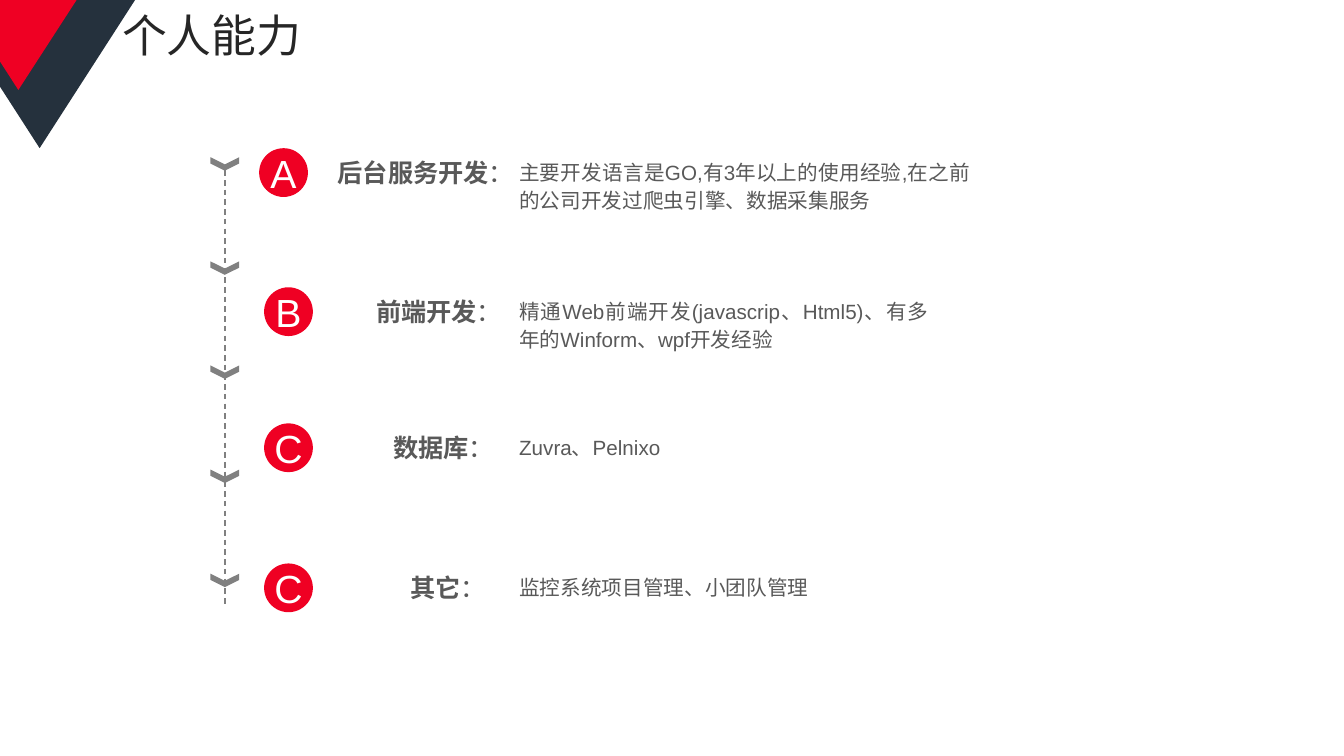
from dataclasses import dataclass

from lxml.etree import SubElement
from pptx import Presentation
from pptx.dml.color import RGBColor
from pptx.enum.dml import MSO_LINE_DASH_STYLE as Dash
from pptx.enum.shapes import MSO_CONNECTOR as Connector
from pptx.enum.shapes import MSO_SHAPE as Shape
from pptx.enum.text import MSO_ANCHOR as Anchor
from pptx.enum.text import MSO_AUTO_SIZE as AutoSize
from pptx.enum.text import PP_ALIGN as Align
from pptx.oxml.ns import qn
from pptx.util import Inches, Pt

SLIDE_WIDTH = Inches(13.33)
SLIDE_HEIGHT = Inches(7.5)


@dataclass(frozen=True)
class Theme:
    font: str = "Arial"
    red: str = "EF0023"
    navy: str = "25313D"
    grey: str = "808080"
    title: str = "262626"
    text: str = "595959"
    white: str = "FFFFFF"
    title_size: float = 32
    badge_size: float = 28
    label_size: float = 18
    body_size: float = 14.7
    body_leading: float = 20


THEME = Theme()


@dataclass(frozen=True)
class Skill:
    letter: str
    label: str
    detail: str
    top: float
    lines: int
    badge_left: float = 19.65
    label_left: float = 24.68
    detail_width: float = 30.45


SKILLS = [
    Skill("A", "后台服务开发",
          "主要开发语言是GO,有3年以上的使用经验,在之前的公司开发过爬虫引擎、数据采集服务",
          19.6, 6, badge_left=19.28, label_left=24.38, detail_width=33.53),
    Skill("B", "前端开发",
          "精通Web前端开发(javascrip、Html5)、有多年的Winform、wpf开发经验", 38, 5),
    Skill("C", "数据库", "Zuvra、Pelnixo", 56, 3),
    Skill("C", "其它", "监控系统项目管理、小团队管理", 74.53, 2),
]


def across(share):
    return round(SLIDE_WIDTH * share / 100)


def down(share):
    return round(SLIDE_HEIGHT * share / 100)


def color(value):
    return RGBColor.from_string(value)


def paint(shape, fill):
    shape.shadow.inherit = False
    shape.fill.solid()
    shape.fill.fore_color.rgb = color(fill)
    shape.line.fill.background()


def write(paragraph, text, size, fill, bold=False, align=Align.LEFT, spacing=None):
    paragraph.alignment = align
    if spacing:
        paragraph.line_spacing = spacing
    run = paragraph.add_run()
    run.text = text
    run.font.name = THEME.font
    run.font.size = Pt(size)
    run.font.bold = bold
    run.font.color.rgb = color(fill)


def clear_margins(frame):
    frame.margin_left = frame.margin_right = frame.margin_top = frame.margin_bottom = 0


def add_outline(slide, points, fill):
    corners = [(across(x), down(y)) for x, y in points]
    builder = slide.shapes.build_freeform(*corners[0])
    builder.add_line_segments(corners[1:], close=True)
    paint(builder.convert_to_shape(), fill)


def add_text_box(slide, left, top, width, height):
    box = slide.shapes.add_textbox(across(left), down(top), across(width), down(height))
    box.text_frame.word_wrap = True
    return box.text_frame


def add_title(slide, text):
    title = slide.shapes.title
    title.left, title.top = across(8.33), down(0.27)
    title.width, title.height = across(64.37), down(9.47)
    frame = title.text_frame
    frame.auto_size = AutoSize.NONE
    frame.vertical_anchor = Anchor.MIDDLE
    write(frame.paragraphs[0], text, THEME.title_size, THEME.title, spacing=0.9)


def add_corner(slide):
    add_outline(slide, [(0, 0), (10.05, 0), (2.95, 19.6), (0, 11.47)], THEME.navy)
    add_outline(slide, [(0, 0), (5.7, 0), (1.37, 11.9), (0, 8.13)], THEME.red)


def add_timeline(slide, center=16.73, top=20.8, step=13.77, count=5):
    line = slide.shapes.add_connector(
        Connector.STRAIGHT, across(center), down(22.53), across(center), down(80.27))
    line.line.color.rgb = color(THEME.grey)
    line.line.width = Pt(1)
    line.line.dash_style = Dash.DASH
    SubElement(line._element.spPr, qn("a:effectLst"))
    half, drop, thickness = 1.07, 0.95, 0.83
    left, right = center - half, center + half
    for index in range(count):
        edge = top + step * index
        add_outline(slide, [
            (center, edge + drop), (left, edge), (left, edge + thickness),
            (center, edge + drop + thickness), (right, edge + thickness), (right, edge),
        ], THEME.grey)


def add_badge(slide, skill):
    diameter = down(6.45)
    badge = slide.shapes.add_shape(
        Shape.OVAL, across(skill.badge_left), down(skill.top), diameter, diameter)
    paint(badge, THEME.red)
    frame = badge.text_frame
    clear_margins(frame)
    frame.vertical_anchor = Anchor.MIDDLE
    write(frame.paragraphs[0], skill.letter, THEME.badge_size, THEME.white,
          align=Align.CENTER)


def add_label(slide, skill, longest):
    frame = add_text_box(slide, skill.label_left, skill.top + 0.53, 13.5, 5.33)
    paragraph = frame.paragraphs[0]
    indent = across(1.28 * (longest - len(skill.label)))
    paragraph._p.get_or_add_pPr().set("marL", str(indent))
    write(paragraph, skill.label, THEME.label_size, THEME.text, bold=True)
    write(paragraph, "：", THEME.label_size, THEME.text)


def add_detail(slide, skill):
    frame = add_text_box(slide, 38.63, skill.top + 1.07, skill.detail_width,
                         3.73 * skill.lines)
    clear_margins(frame)
    write(frame.paragraphs[0], skill.detail, THEME.body_size, THEME.text,
          align=Align.JUSTIFY, spacing=Pt(THEME.body_leading))


def main():
    presentation = Presentation()
    presentation.slide_width = SLIDE_WIDTH
    presentation.slide_height = SLIDE_HEIGHT
    slide = presentation.slides.add_slide(presentation.slide_layouts[5])
    add_corner(slide)
    add_title(slide, "个人能力")
    add_timeline(slide)
    longest = max(len(skill.label) for skill in SKILLS)
    for skill in SKILLS:
        add_badge(slide, skill)
        add_label(slide, skill, longest)
        add_detail(slide, skill)
    presentation.save("out.pptx")


if __name__ == "__main__":
    main()
